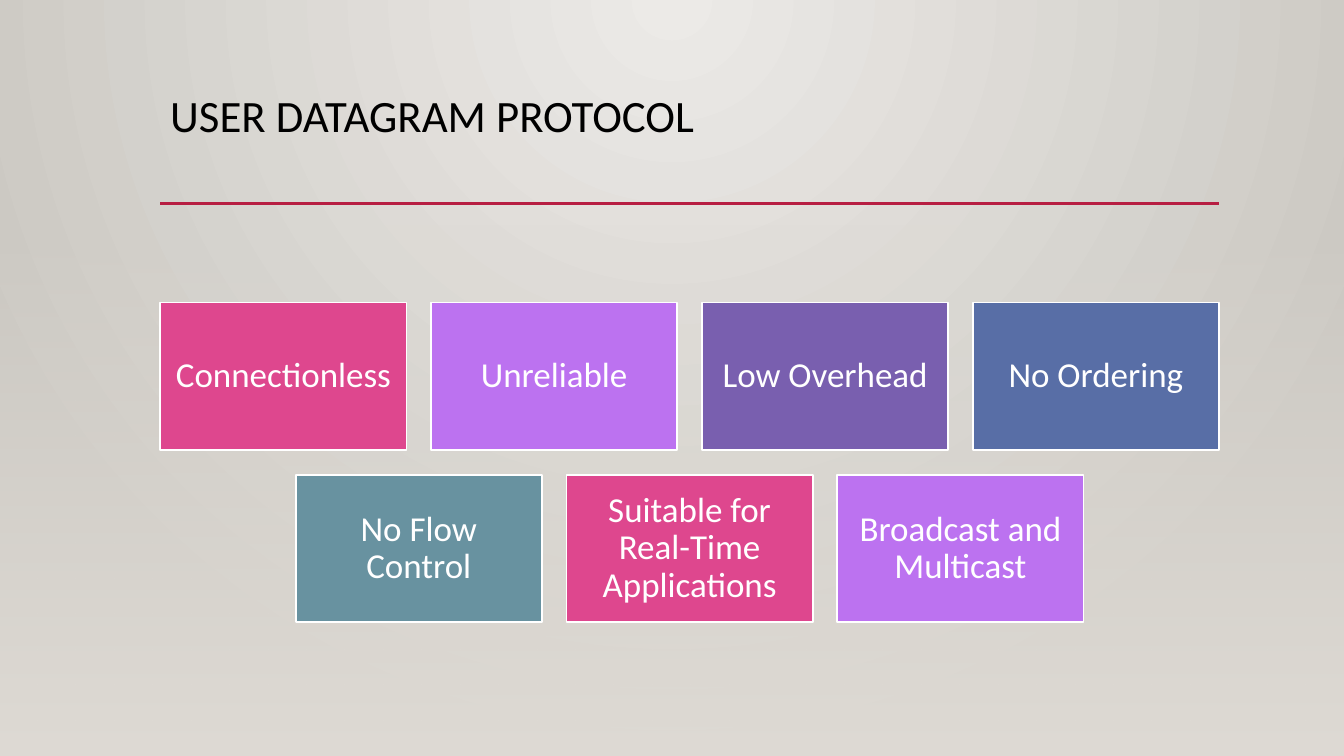
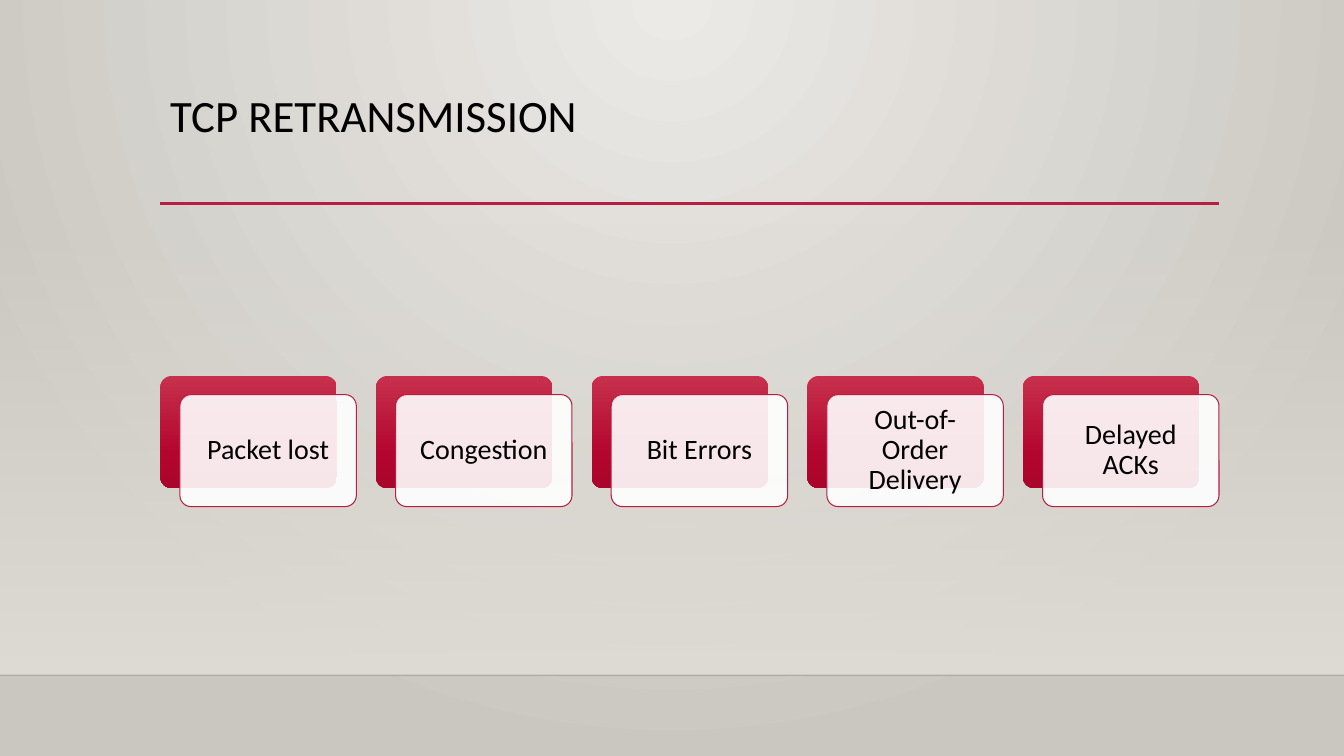
from dataclasses import dataclass

from lxml import etree
from pptx import Presentation, util as u
from pptx.dml.color import RGBColor
from pptx.enum import shapes, text
from pptx.oxml.ns import qn


@dataclass(frozen=True)
class Theme:
    font: str = "Calibri"
    title_size: float = 32
    tile_size: float = 25
    card_size: float = 20
    ink: str = "000000"
    paper: str = "FFFFFF"
    accent: str = "B71E42"
    # Gradient stops: position in percent, colour, opacity in percent
    backdrop: tuple = ((0, "ECEAE7", 100), (100, "CAC7C1", 100))
    veil: tuple = ((0, "DFDBD5", 0), (100, "DFDBD5", 100))
    card: tuple = ((0, "C7304C", 100), (69, "B3062F", 100), (100, "AA062C", 100))
    tiles: tuple = ("DE478E", "BC72F0", "795FAF", "586EA6", "6892A0")


def set_gradient(fill, root, stops, radial=False):
    fill.gradient()
    gradient = root.find(".//" + qn("a:gradFill"))
    for child in list(gradient):
        gradient.remove(child)
    stop_list = etree.SubElement(gradient, qn("a:gsLst"))
    for position, colour, opacity in stops:
        stop = etree.SubElement(stop_list, qn("a:gs"), pos=str(position * 1000))
        tint = etree.SubElement(stop, qn("a:srgbClr"), val=colour)
        if opacity < 100:
            etree.SubElement(tint, qn("a:alpha"), val=str(opacity * 1000))
    if radial:
        focus = etree.SubElement(gradient, qn("a:path"), {"path": "circle"})
        etree.SubElement(focus, qn("a:fillToRect"), l="43000", t="0", r="43000", b="100000")
    else:
        etree.SubElement(gradient, qn("a:lin"), ang="5400000", scaled="0")


def write(shape, words, size, colour, inset, align, anchor):
    frame = shape.text_frame
    frame.word_wrap = True
    frame.vertical_anchor = anchor
    frame.margin_left = frame.margin_right = u.Inches(inset)
    frame.margin_top = frame.margin_bottom = u.Inches(inset / 2)
    paragraph = frame.paragraphs[0]
    paragraph.alignment = align
    paragraph.line_spacing = 0.9
    run = paragraph.add_run()
    run.text = words
    run.font.name = theme.font
    run.font.size = u.Pt(size)
    run.font.color.rgb = RGBColor.from_string(colour)


theme = Theme()
presentation = Presentation()
presentation.slide_width = u.Inches(13.33)
presentation.slide_height = u.Inches(7.5)
page_width, page_height = presentation.slide_width, presentation.slide_height

# Content column and horizontal lines of the page
left, width = u.Inches(1.59), u.Inches(10.5)
title_top, rule_top, veil_top, floor = (u.Inches(y) for y in (0.88, 2.02, 2.21, 6.7))
center, middle = text.PP_ALIGN.CENTER, text.MSO_ANCHOR.MIDDLE

# Shared frame: backdrop, veil, title and rules
slides = []
for title, has_floor in (("USER DATAGRAM PROTOCOL", False), ("TCP RETRANSMISSION", True)):
    slide = presentation.slides.add_slide(presentation.slide_layouts[6])
    slides.append(slide)
    set_gradient(slide.background.fill, slide.element, theme.backdrop, radial=True)

    veil_bottom = floor if has_floor else page_height
    veil = slide.shapes.add_shape(
        shapes.MSO_SHAPE.RECTANGLE, 0, veil_top, page_width, veil_bottom - veil_top)
    veil.shadow.inherit = False
    veil.line.fill.background()
    set_gradient(veil.fill, veil.element, theme.veil)

    heading = slide.shapes.add_textbox(left, title_top, width, rule_top - title_top)
    write(heading, title, theme.title_size, theme.ink, 0.1,
          text.PP_ALIGN.LEFT, text.MSO_ANCHOR.TOP)

    rules = [(left, left + width, rule_top, theme.accent, 2.5, 100)]
    if has_floor:
        rules.append((0, page_width, floor, theme.ink, 1, 20))
    for start, end, top, colour, weight, opacity in rules:
        rule = slide.shapes.add_connector(shapes.MSO_CONNECTOR.STRAIGHT, start, top, end, top)
        rule.line.color.rgb = RGBColor.from_string(colour)
        rule.line.width = u.Pt(weight)
        if opacity < 100:
            tint = rule.element.find(".//" + qn("a:srgbClr"))
            etree.SubElement(tint, qn("a:alpha"), val=str(opacity * 1000))
        etree.SubElement(rule.element.spPr, qn("a:effectLst"))

datagram_slide, retransmission_slide = slides

# Datagram traits: centred rows of tiles, gap a tenth of a tile
trait_rows = (
    ("Connectionless", "Unreliable", "Low Overhead", "No Ordering"),
    ("No Flow Control", "Suitable for Real-Time Applications", "Broadcast and Multicast"),
)
tile_width = width / 4.3
tile_height = tile_width * 0.6
gap = tile_width * 0.1
tile_count = 0
for row, traits in enumerate(trait_rows):
    row_width = len(traits) * (tile_width + gap) - gap
    row_left = left + (width - row_width) / 2
    row_top = u.Inches(3) + row * (tile_height + gap)
    for column, trait in enumerate(traits):
        tile = datagram_slide.shapes.add_shape(
            shapes.MSO_SHAPE.RECTANGLE, int(row_left + column * (tile_width + gap)),
            int(row_top), int(tile_width), int(tile_height))
        tile.shadow.inherit = False
        tile.fill.solid()
        tile.fill.fore_color.rgb = RGBColor.from_string(
            theme.tiles[tile_count % len(theme.tiles)])
        tile.line.color.rgb = RGBColor.from_string(theme.paper)
        tile.line.width = u.Pt(1.25)
        write(tile, trait, theme.tile_size, theme.paper, 0.1, center, middle)
        tile_count += 1

# Retransmission causes: each label card is shifted by a ninth of its width
causes = ("Packet lost", "Congestion", "Bit Errors", "Out-of-Order Delivery", "Delayed ACKs")
card_width = width / 6
card_height = card_width * 0.635
shift = card_width / 9
card_top = u.Inches(3.73)
for column, cause in enumerate(causes):
    card_left = left + column * (card_width + 2 * shift)
    back, front = (
        retransmission_slide.shapes.add_shape(
            shapes.MSO_SHAPE.ROUNDED_RECTANGLE, int(card_left + x), int(card_top + y),
            int(card_width), int(card_height))
        for x, y in ((0, 0), (shift, shift * 0.95)))
    for card in (back, front):
        card.shadow.inherit = False
        card.adjustments[0] = 0.1
    set_gradient(back.fill, back.element, theme.card)
    back.line.fill.background()
    front.fill.solid()
    front.fill.fore_color.rgb = RGBColor.from_string(theme.paper)
    etree.SubElement(front.element.find(".//" + qn("a:srgbClr")), qn("a:alpha"), val="90000")
    front.line.color.rgb = RGBColor.from_string(theme.accent)
    front.line.width = u.Pt(0.75)
    write(front, cause, theme.card_size, theme.ink, 0.11, center, middle)

presentation.save("out.pptx")
